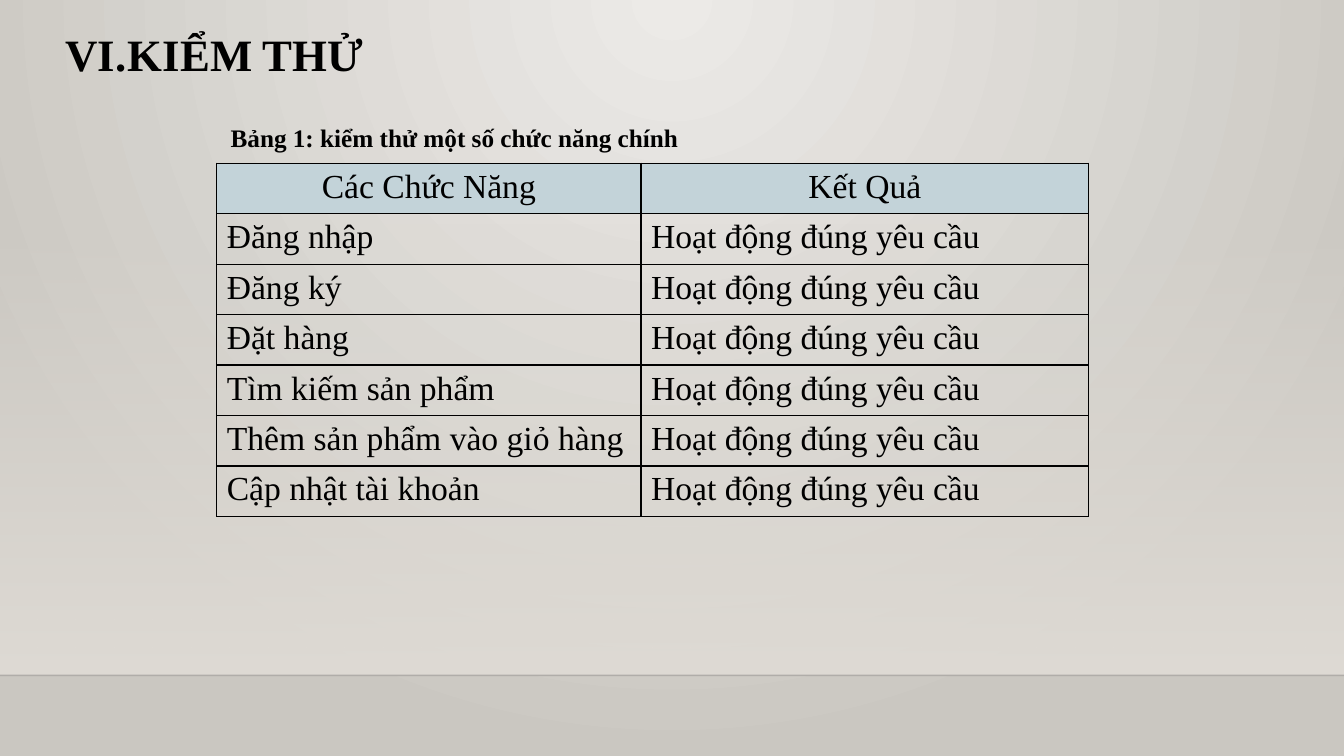
from dataclasses import dataclass, field
from typing import Any

from lxml.etree import SubElement as SubEl
from pptx import Presentation
from pptx.dml.color import RGBColor
from pptx.enum.shapes import MSO_CONNECTOR as Connector, MSO_SHAPE as Preset
from pptx.enum.text import MSO_AUTO_SIZE as AutoSize, PP_ALIGN as Align
from pptx.oxml.ns import qn
from pptx.util import Emu, Inches, Pt

WIDTH, HEIGHT = Inches(13.33), Inches(7.5)
GRID_COLUMNS, GRID_ROWS = 160, 90
FLOOR_ROW = 80.4
INK = "000000"
HEADER_FILL = "C3D3D9"
FLOOR_TINT = "DFDBD5"
BODY_FONT = {"name": "Times New Roman", "size": Pt(24), "bold": False}
PASSED = "Hoạt động đúng yêu cầu"
HEADINGS = ("Các Chức Năng", "Kết Quả")
FEATURES = ("Đăng nhập", "Đăng ký", "Đặt hàng", "Tìm kiếm sản phẩm",
            "Thêm sản phẩm vào giỏ hàng", "Cập nhật tài khoản")
COLUMN_SPANS = (50.52, 53.28)
ROW_SPAN = 6


@dataclass(frozen=True)
class Area:
    column: float
    row: float
    columns: float
    rows: float

    def box(self) -> tuple[Emu, Emu, Emu, Emu]:
        return across(self.column), down(self.row), across(self.columns), down(self.rows)


@dataclass(frozen=True)
class Label:
    text: str
    area: Area
    size: int
    wrap: bool
    numbering: dict[str, str] = field(default_factory=dict)


LABELS = (
    Label("KIỂM THỬ", Area(6.6, 2.64, 128.16, 7.68), 32, True,
          {"type": "romanUcPeriod", "startAt": "6"}),
    Label("Bảng 1: kiểm thử một số chức năng chính",
          Area(26.28, 13.92, 56.16, 4.8), 18, False),
)


def across(columns: float) -> Emu:
    return Emu(round(WIDTH * columns / GRID_COLUMNS))


def down(rows: float) -> Emu:
    return Emu(round(HEIGHT * rows / GRID_ROWS))


def color(value: str) -> RGBColor:
    return RGBColor.from_string(value)


def apply(target: Any, values: dict[str, Any]) -> None:
    for name, value in values.items():
        setattr(target, name, value)


def set_alpha(parent: Any, percent: int) -> None:
    rgb = next(parent.iter(qn("a:srgbClr")))
    SubEl(rgb, qn("a:alpha"), val=str(percent * 1000))


def tint_stops(fill: Any, first: str, last: str) -> None:
    fill.gradient()
    for stop, value in zip(fill.gradient_stops, (first, last)):
        stop.color.rgb = color(value)


def write(paragraph: Any, text: str, font: dict[str, Any]) -> None:
    run = paragraph.add_run()
    run.text = text
    apply(run.font, font)
    run.font.color.rgb = color(INK)


def draw_background(slide: Any) -> None:
    tint_stops(slide.background.fill, "ECEAE7", "CAC7C1")
    gradient = next(slide.element.iter(qn("a:gradFill")))
    gradient.remove(gradient.find(qn("a:lin")))
    circle = SubEl(gradient, qn("a:path"), path="circle")
    SubEl(circle, qn("a:fillToRect"), l="43000", t="0", r="43000", b="100000")


def draw_floor(slide: Any) -> None:
    top = 26.52
    haze = slide.shapes.add_shape(
        Preset.RECTANGLE, *Area(0, top, GRID_COLUMNS, FLOOR_ROW - top).box())
    haze.shadow.inherit = False
    haze.line.fill.background()
    tint_stops(haze.fill, FLOOR_TINT, FLOOR_TINT)
    haze.fill.gradient_angle = 270
    set_alpha(haze.element, 0)

    edge = slide.shapes.add_connector(
        Connector.STRAIGHT, 0, down(FLOOR_ROW), WIDTH, down(FLOOR_ROW))
    edge.line.width = Pt(1)
    edge.line.color.rgb = color("000001")
    set_alpha(edge.element, 20)
    SubEl(edge.element.spPr, qn("a:effectLst"))


def draw_label(slide: Any, label: Label) -> None:
    frame = slide.shapes.add_textbox(*label.area.box()).text_frame
    apply(frame, {"word_wrap": label.wrap, "auto_size": AutoSize.SHAPE_TO_FIT_TEXT})
    paragraph = frame.paragraphs[0]
    write(paragraph, label.text, BODY_FONT | {"size": Pt(label.size), "bold": True})
    if label.numbering:
        properties = paragraph._p.get_or_add_pPr()
        indent = Inches(0.62)
        properties.set("marL", str(indent))
        properties.set("indent", str(-indent))
        SubEl(properties, qn("a:buFont"), typeface="+mj-lt")
        SubEl(properties, qn("a:buAutoNum"), label.numbering)


def draw_borders(cell: Any) -> None:
    properties = cell._tc.get_or_add_tcPr()
    for index, side in enumerate(("lnL", "lnR", "lnT", "lnB")):
        border = properties.makeelement(qn(f"a:{side}"), {"w": str(Pt(1))})
        solid = SubEl(border, qn("a:solidFill"))
        SubEl(solid, qn("a:srgbClr"), val=INK)
        properties.insert(index, border)


def draw_results(slide: Any) -> None:
    entries = [HEADINGS, *((feature, PASSED) for feature in FEATURES)]
    area = Area(25.8, 19.44, sum(COLUMN_SPANS), ROW_SPAN * len(entries))
    results = slide.shapes.add_table(len(entries), len(HEADINGS), *area.box()).table
    apply(results, {"first_row": False, "horz_banding": False})
    for column, span in zip(results.columns, COLUMN_SPANS):
        column.width = across(span)
    for row, entry in enumerate(entries):
        for column, text in enumerate(entry):
            cell = results.cell(row, column)
            paragraph = cell.text_frame.paragraphs[0]
            write(paragraph, text, BODY_FONT)
            if row == 0:
                paragraph.alignment = Align.CENTER
                cell.fill.solid()
                cell.fill.fore_color.rgb = color(HEADER_FILL)
            else:
                cell.fill.background()
            draw_borders(cell)


def main() -> None:
    deck = Presentation()
    apply(deck, {"slide_width": WIDTH, "slide_height": HEIGHT})
    slide = deck.slides.add_slide(deck.slide_layouts[6])
    draw_background(slide)
    draw_floor(slide)
    title, caption = LABELS
    draw_label(slide, title)
    draw_results(slide)
    draw_label(slide, caption)
    deck.save("out.pptx")


if __name__ == "__main__":
    main()
